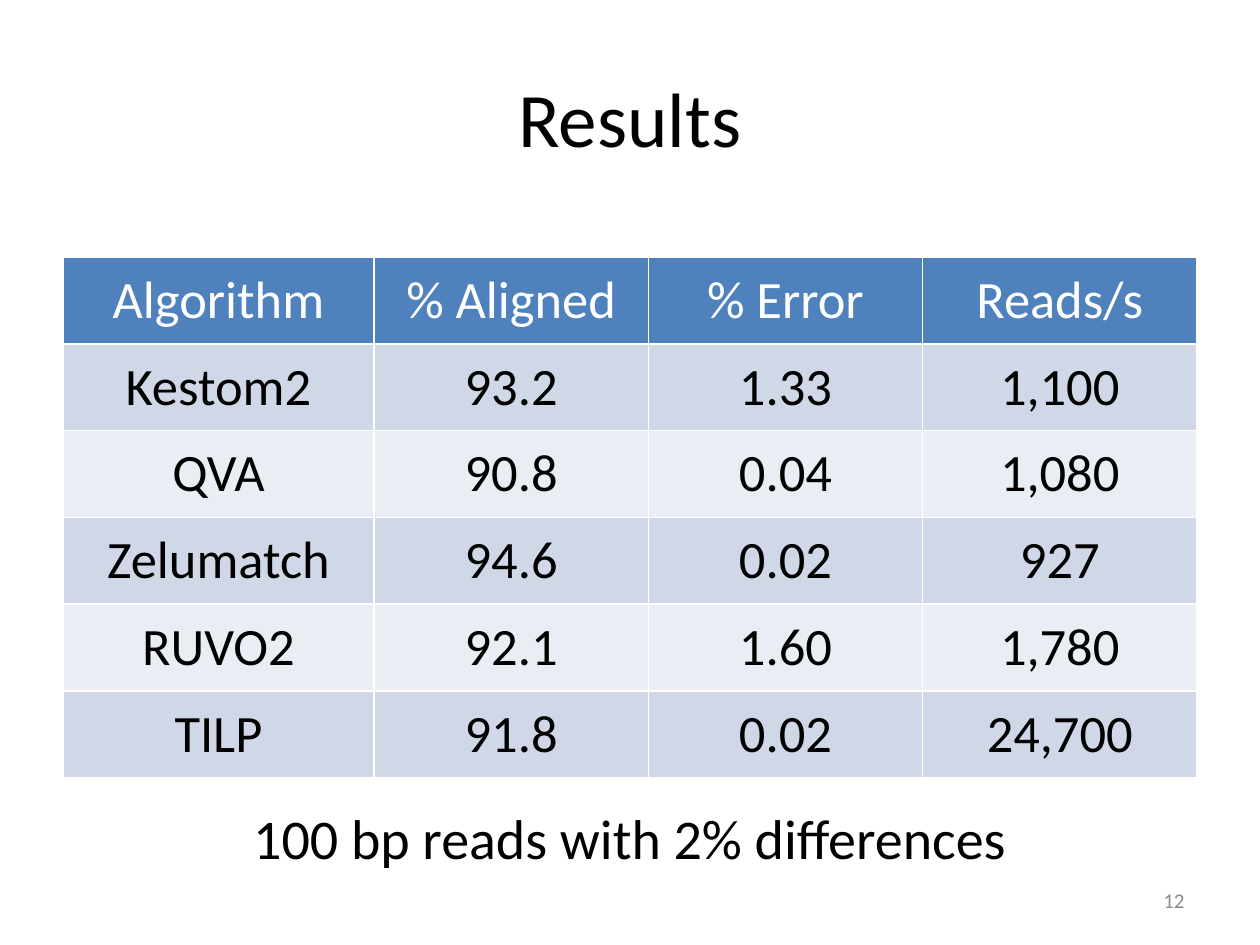
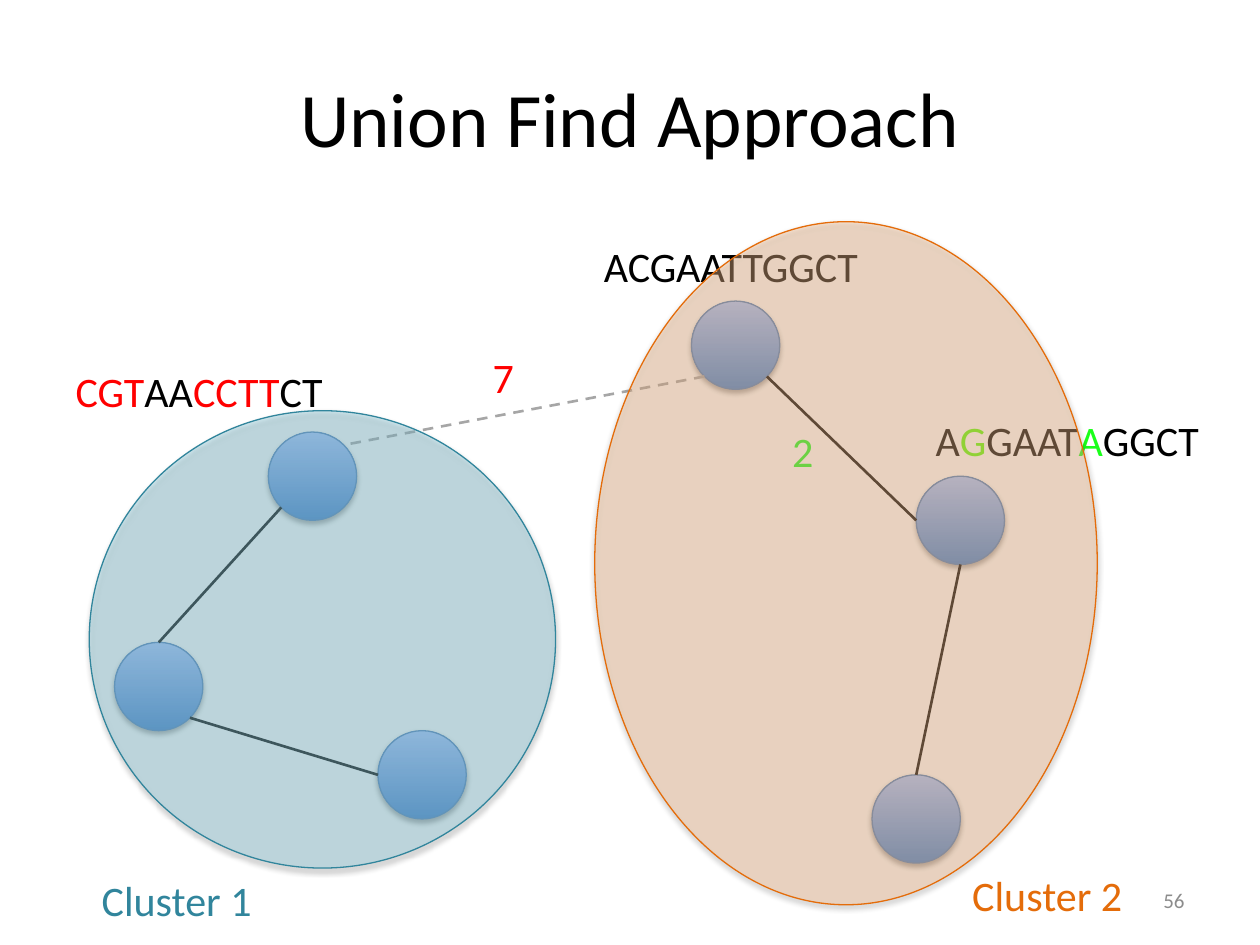
import math

from lxml import etree
from pptx import Presentation
from pptx import util as u
from pptx.dml.color import RGBColor
from pptx.enum import dml, shapes, text
from pptx.oxml import ns

FONT = "Calibri"
BLACK, WHITE, RED, LIME, GREEN = "000000", "FFFFFF", "FF0000", "5FFF00", "1AFF1A"
PAGE_GREY, FAR_GREY = "8C8C8C", "A6A6A6"
HEADER_BLUE, ROW_BANDS = "4F81BD", ("D0D8E8", "E9EDF4")
NODE_DARK, NODE_LIGHT, NODE_EDGE = "3F80CE", "A4C4FF", "4B7EBC"
TEAL, TEAL_FILL = "31859C", "93CDDD"
ORANGE, ORANGE_FILL = "E46C0A", "FAC090"
LEFT, CENTER, RIGHT = (text.PP_ALIGN.LEFT, text.PP_ALIGN.CENTER,
                       text.PP_ALIGN.RIGHT)
TOP, MIDDLE = text.MSO_ANCHOR.TOP, text.MSO_ANCHOR.MIDDLE

MARGIN, CONTENT_WIDTH = 1.27, 22.86
NODE_SIZE = 1.78
LABEL_WIDTH, LABEL_HEIGHT = 7.21, 1.27
DOWN_RIGHT, DOWN, DOWN_LEFT, TO_LEFT, UP, UP_RIGHT = 45, 90, 135, 180, 270, 315

RESULTS = [
    ("Algorithm", "% Aligned", "% Error", "Reads/s"),
    ("Kestom2", "93.2", "1.33", "1,100"),
    ("QVA", "90.8", "0.04", "1,080"),
    ("Zelumatch", "94.6", "0.02", "927"),
    ("RUVO2", "92.1", "1.60", "1,780"),
    ("TILP", "91.8", "0.02", "24,700"),
]
COLUMN_WIDTHS = (6.27, 5.53, 5.53, 5.53)
ROW_HEIGHT = 1.75

NODES = {
    "ACGAATTGGCT": (13.94, 6.07),
    "AGGAATAGGCT": (18.47, 9.6),
    "orange tail": (17.58, 15.62),
    "CGTAACCTTCT": (5.41, 8.71),
    "teal middle": (2.31, 12.95),
    "teal tail": (7.62, 14.73),
}
EDGES = [
    ("ACGAATTGGCT", DOWN_RIGHT, "AGGAATAGGCT", TO_LEFT),
    ("AGGAATAGGCT", DOWN, "orange tail", UP),
    ("CGTAACCTTCT", DOWN_LEFT, "teal middle", UP),
    ("teal middle", DOWN_RIGHT, "teal tail", TO_LEFT),
]
SEQUENCES = [
    (11.13, 4.72, [("ACGAATTGGCT", BLACK)]),
    (17.91, 8.23, [("A", BLACK), ("G", LIME), ("GAAT", BLACK),
                   ("A", GREEN), ("GGCT", BLACK)]),
    (0.41, 7.24, [("CGT", RED), ("AA", BLACK), ("CCTT", RED), ("CT", BLACK)]),
]


def rgb(code):
    """Turn a hex string into a colour."""
    return RGBColor.from_string(code)


def child(parent, tag, **attributes):
    """Append a DrawingML element to its parent."""
    return etree.SubElement(parent, ns.qn(tag), attributes)


def style_run(run, size, color):
    """Give a run the deck font."""
    run.font.name = FONT
    run.font.size = u.Pt(size)
    run.font.bold = False
    run.font.color.rgb = rgb(color)


def add_text(slide, box, pieces, size, align=LEFT, anchor=TOP):
    """Add one line of text made of (wording, colour) pieces."""
    frame = slide.shapes.add_textbox(*map(u.Cm, box)).text_frame
    frame.word_wrap = True
    frame.vertical_anchor = anchor
    line = frame.paragraphs[0]
    line.alignment = align
    for wording, color in pieces:
        run = line.add_run()
        run.text = wording
        style_run(run, size, color)


def add_page(deck, title, number):
    """Add a blank slide with the shared title and page number."""
    slide = deck.slides.add_slide(deck.slide_layouts[6])
    add_text(slide, (MARGIN, 0.76, CONTENT_WIDTH, 3.18), [(title, BLACK)], 44,
             CENTER, MIDDLE)
    add_text(slide, (18.2, 17.65, 5.93, 1.01), [(number, PAGE_GREY)], 12,
             RIGHT, MIDDLE)
    return slide


def add_borders(cell):
    """Draw thin white rules around a table cell."""
    properties = cell._tc.get_or_add_tcPr()
    for side in "LRTB":
        rule = child(properties, f"a:ln{side}", w=str(u.Pt(1)))
        child(child(rule, "a:solidFill"), "a:srgbClr", val=WHITE)


def add_results_table(slide):
    """Add the banded table that compares the algorithms."""
    table = slide.shapes.add_table(
        len(RESULTS), len(COLUMN_WIDTHS), u.Cm(MARGIN), u.Cm(5.18),
        u.Cm(CONTENT_WIDTH), u.Cm(ROW_HEIGHT * len(RESULTS))).table
    for column, width in zip(table.columns, COLUMN_WIDTHS):
        column.width = u.Cm(width)
    for index, (row, values) in enumerate(zip(table.rows, RESULTS)):
        row.height = u.Cm(ROW_HEIGHT)
        is_header = index == 0
        for cell, value in zip(row.cells, values):
            add_borders(cell)
            cell.fill.solid()
            band = HEADER_BLUE if is_header else ROW_BANDS[(index - 1) % 2]
            cell.fill.fore_color.rgb = rgb(band)
            cell.vertical_anchor = MIDDLE
            cell.text_frame.text = value
            line = cell.text_frame.paragraphs[0]
            line.alignment = CENTER
            style_run(line.runs[0], 30, WHITE if is_header else BLACK)


def add_ellipse(slide, box, edge):
    """Add an outlined ellipse with a soft shadow below."""
    ellipse = slide.shapes.add_shape(shapes.MSO_SHAPE.OVAL, *map(u.Cm, box))
    ellipse.line.color.rgb = rgb(edge)
    ellipse.line.width = u.Pt(0.75)
    ellipse.shadow.inherit = False
    effects = ellipse._element.spPr.find(ns.qn("a:effectLst"))
    shadow = child(effects, "a:outerShdw", blurRad=str(u.Pt(3.1)),
                   dist=str(u.Pt(1.8)), dir="5400000", rotWithShape="0")
    child(child(shadow, "a:srgbClr", val=BLACK), "a:alpha", val="35000")
    return ellipse


def add_node(slide, place):
    """Add a read as a shaded ball."""
    ball = add_ellipse(slide, (*place, NODE_SIZE, NODE_SIZE), NODE_EDGE)
    ball.fill.gradient()
    ball.fill.gradient_angle = 90
    for stop, color in zip(ball.fill.gradient_stops, (NODE_DARK, NODE_LIGHT)):
        stop.color.rgb = rgb(color)


def add_cluster(slide, box, fill, edge, opacity):
    """Add a see-through ellipse around the reads of a cluster."""
    cluster = add_ellipse(slide, box, edge)
    cluster.fill.solid()
    cluster.fill.fore_color.rgb = rgb(fill)
    tint = cluster._element.spPr.find(ns.qn("a:solidFill"))[0]
    child(tint, "a:alpha", val=str(opacity * 1000))


def rim(node, degrees):
    """Return the point on a node's rim, clockwise from its right."""
    left, top = NODES[node]
    radius, angle = NODE_SIZE / 2, math.radians(degrees)
    return (u.Cm(left + radius * (1 + math.cos(angle))),
            u.Cm(top + radius * (1 + math.sin(angle))))


def add_edge(slide, start, start_side, end, end_side, color=BLACK):
    """Join two nodes with a straight line."""
    edge = slide.shapes.add_connector(
        shapes.MSO_CONNECTOR.STRAIGHT, *rim(start, start_side),
        *rim(end, end_side))
    edge.line.color.rgb = rgb(color)
    edge.line.width = u.Pt(1.5)
    child(edge._element.spPr, "a:effectLst")
    return edge


def build_results(deck):
    """Build the slide with the comparison table."""
    slide = add_page(deck, "Results", "12")
    add_results_table(slide)
    add_text(slide, (MARGIN, 16.08, CONTENT_WIDTH, 1.63),
             [("100 bp reads with 2% differences", BLACK)], 32, CENTER)


def build_union_find(deck):
    """Build the slide with the two clusters of reads."""
    slide = add_page(deck, "Union Find Approach", "56")
    for place in NODES.values():
        add_node(slide, place)
    for left, top, letters in SEQUENCES:
        add_text(slide, (left, top, LABEL_WIDTH, LABEL_HEIGHT), letters, 24,
                 CENTER)
    for edge in EDGES:
        add_edge(slide, *edge)
    far_pair = add_edge(slide, "ACGAATTGGCT", DOWN_LEFT, "CGTAACCTTCT",
                        UP_RIGHT, FAR_GREY)
    far_pair.line.dash_style = dml.MSO_LINE.DASH
    add_text(slide, (15.72, 8.46, 0.97, LABEL_HEIGHT), [("2", GREEN)], 24)
    add_text(slide, (9.68, 6.96, 1.37, LABEL_HEIGHT), [("7", RED)], 24)
    add_cluster(slide, (1.8, 8.28, 9.4, 9.22), TEAL_FILL, TEAL, 42)
    add_text(slide, (1.8, 17.5, 6.83, LABEL_HEIGHT), [("Cluster 1", TEAL)], 24)
    add_cluster(slide, (11.99, 4.47, 10.13, 13.77), ORANGE_FILL, ORANGE, 38)
    add_text(slide, (19.35, 17.4, 6.05, LABEL_HEIGHT),
             [("Cluster 2", ORANGE)], 24)


def main():
    """Build and save the deck."""
    deck = Presentation()
    deck.slide_width, deck.slide_height = u.Cm(25.4), u.Cm(19.05)
    build_results(deck)
    build_union_find(deck)
    deck.save("out.pptx")


if __name__ == "__main__":
    main()
